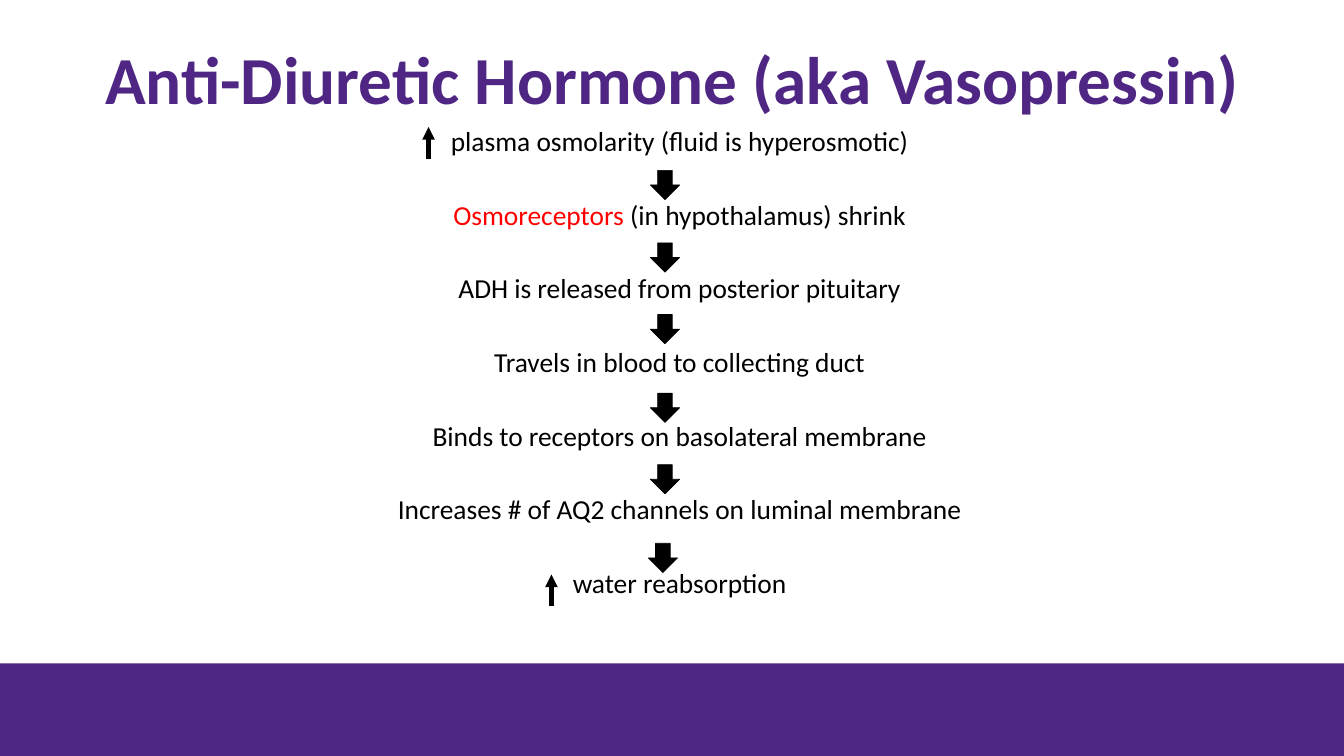
from pptx import Presentation
from pptx import util as u
from pptx.dml.color import RGBColor
from pptx.enum import shapes, text
from pptx.oxml.ns import qn
from lxml import etree

PURPLE = RGBColor(0x4F, 0x26, 0x83)
BLACK = RGBColor(0, 0, 0)
RED = RGBColor(0xFF, 0, 0)
WHITE = RGBColor(0xFF, 0xFF, 0xFF)
FONT = "Calibri"

SLIDE_WIDTH, SLIDE_HEIGHT = 13.33, 7.5
TITLE_BOX = (0.92, 0.22, 11.5, 1.2)
STEPS_BOX = (2.24, 1.27, 9, 4.95)
BAND_BOX = (0, 6.58, SLIDE_WIDTH, 0.92)

# Each step is a list of (words, colour) runs
STEPS = [
    [("plasma osmolarity (fluid is hyperosmotic)", BLACK)],
    [("Osmoreceptors", RED), (" (in hypothalamus) shrink", BLACK)],
    [("ADH is released from posterior pituitary", BLACK)],
    [("Travels in blood to collecting duct", BLACK)],
    [("Binds to receptors on basolateral membrane", BLACK)],
    [("Increases # of AQ2 channels on luminal membrane", BLACK)],
    [("water reabsorption", BLACK)],
]
# Offsets (left, top) from the corner of the steps box
DOWN_ARROWS = [(4.21, 0.42), (4.21, 1.14), (4.21, 1.85),
               (4.21, 2.63), (4.21, 3.34), (4.19, 4.12)]
ARROW_SIZE = 0.29
# Offsets (x, bottom, top) from the corner of the steps box
INCREASE_ARROWS = [(2.01, 0.31, -0.01), (3.23, 4.74, 4.43)]


def place(shape, box):
    shape.left, shape.top, shape.width, shape.height = map(u.Inches, box)


def format_run(run, size, color, bold=False):
    run.font.name = FONT
    run.font.size = u.Pt(size)
    run.font.bold = bold
    run.font.color.rgb = color


def fill_title(slide, box):
    title = slide.shapes.title
    place(title, box)
    frame = title.text_frame
    frame.text = "Anti-Diuretic Hormone (aka Vasopressin)"
    frame.auto_size = text.MSO_AUTO_SIZE.NONE
    frame.vertical_anchor = text.MSO_ANCHOR.MIDDLE
    paragraph = frame.paragraphs[0]
    paragraph.alignment = text.PP_ALIGN.CENTER
    paragraph.line_spacing = 0.9
    format_run(paragraph.runs[0], 48, PURPLE, bold=True)


def add_band(slide, box):
    band = slide.shapes.add_shape(shapes.MSO_SHAPE.RECTANGLE, *map(u.Inches, box))
    band.shadow.inherit = False
    band.fill.solid()
    band.fill.fore_color.rgb = PURPLE
    band.line.fill.background()


def fill_steps(slide, box):
    body = slide.placeholders[1]
    place(body, box)
    frame = body.text_frame
    frame.auto_size = text.MSO_AUTO_SIZE.NONE
    frame.vertical_anchor = text.MSO_ANCHOR.TOP
    for number, step in enumerate(STEPS):
        paragraph = frame.add_paragraph() if number else frame.paragraphs[0]
        paragraph.alignment = text.PP_ALIGN.CENTER
        paragraph.line_spacing = 0.7
        paragraph.space_before = u.Pt(36.2 if number else 0)
        for words, color in step:
            run = paragraph.add_run()
            run.text = words
            format_run(run, 19.6, color)
        # No bullet, no indent
        properties = paragraph._p.get_or_add_pPr()
        properties.set("marL", "0")
        properties.set("indent", "0")
        etree.SubElement(properties, qn("a:buNone"))


def add_down_arrows(slide, box):
    for left, top in DOWN_ARROWS:
        arrow = slide.shapes.add_shape(
            shapes.MSO_SHAPE.DOWN_ARROW,
            *map(u.Inches, (box[0] + left, box[1] + top, ARROW_SIZE, ARROW_SIZE)))
        arrow.shadow.inherit = False
        arrow.fill.solid()
        arrow.fill.fore_color.rgb = BLACK
        arrow.line.color.rgb = BLACK
        arrow.line.width = u.Pt(0.5)


def add_increase_arrows(slide, box):
    for x, bottom, top in INCREASE_ARROWS:
        arrow = slide.shapes.add_connector(
            shapes.MSO_CONNECTOR.STRAIGHT,
            *map(u.Inches, (box[0] + x, box[1] + bottom, box[0] + x, box[1] + top)))
        arrow.line.color.rgb = BLACK
        arrow.line.width = u.Pt(3)
        etree.SubElement(arrow.line._get_or_add_ln(), qn("a:tailEnd"), type="triangle")
        etree.SubElement(arrow._element.spPr, qn("a:effectLst"))


def main():
    presentation = Presentation()
    presentation.slide_width = u.Inches(SLIDE_WIDTH)
    presentation.slide_height = u.Inches(SLIDE_HEIGHT)
    slide = presentation.slides.add_slide(presentation.slide_layouts[1])
    slide.background.fill.solid()
    slide.background.fill.fore_color.rgb = WHITE
    fill_title(slide, TITLE_BOX)
    add_band(slide, BAND_BOX)
    fill_steps(slide, STEPS_BOX)
    add_increase_arrows(slide, STEPS_BOX)
    add_down_arrows(slide, STEPS_BOX)
    presentation.save("out.pptx")


if __name__ == "__main__":
    main()
